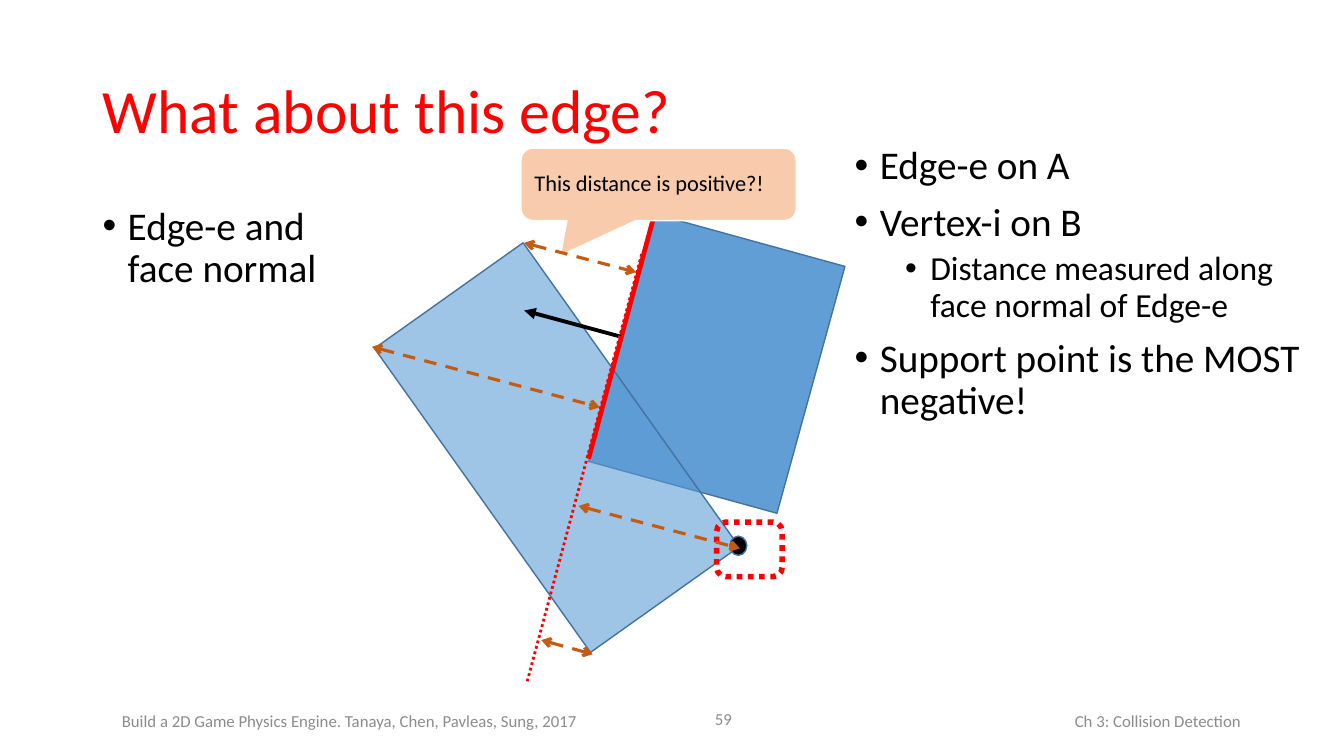
from lxml.etree import SubElement
from pptx import Presentation
from pptx.dml.color import RGBColor
from pptx.enum.dml import MSO_LINE
from pptx.enum.shapes import MSO_CONNECTOR, MSO_SHAPE
from pptx.enum.text import MSO_ANCHOR, PP_ALIGN
from pptx.oxml.ns import qn
from pptx.util import Pt

FONT = "Calibri"
BLACK, RED, GREY = "000000", "FF0000", "8C8C8C"
BLUE, BLUE_EDGE, ORANGE = "5B9BD5", "43739E", "C55A11"


def rgb(color):
    return RGBColor.from_string(color)


def style_paragraph(paragraph, size, color, align=PP_ALIGN.LEFT):
    paragraph.font.name = FONT
    paragraph.font.size = Pt(size)
    paragraph.font.color.rgb = rgb(color)
    paragraph.alignment = align


def add_text_box(slide, box):
    frame = slide.shapes.add_textbox(*map(Pt, box)).text_frame
    frame.word_wrap = True
    return frame


def add_footer(slide, box, text, align=PP_ALIGN.LEFT):
    frame = add_text_box(slide, box)
    frame.vertical_anchor = MSO_ANCHOR.MIDDLE
    frame.text = text
    style_paragraph(frame.paragraphs[0], 12, GREY, align)


def add_bullets(slide, box, items):
    """Each item is a pair of level and text."""
    frame = add_text_box(slide, box)
    for index, (level, text) in enumerate(items):
        paragraph = frame.add_paragraph() if index else frame.paragraphs[0]
        paragraph.text = text
        paragraph.level = level
        paragraph.line_spacing = 0.9
        paragraph.space_before = Pt(5 if level else 10)
        style_paragraph(paragraph, 24 if level else 28, BLACK)
        properties = paragraph._p.get_or_add_pPr()
        properties.set("marL", str(Pt(18 + 36 * level)))
        properties.set("indent", str(Pt(-18)))
        SubElement(properties, qn("a:buFont"), typeface="Arial")
        SubElement(properties, qn("a:buChar"), char="•")


def add_figure(slide, kind, box, fill, line, width=1, opacity=100, rotation=0):
    shape = slide.shapes.add_shape(kind, *map(Pt, box))
    shape.shadow.inherit = False
    shape.rotation = rotation
    shape.line.color.rgb = rgb(line)
    shape.line.width = Pt(width)
    if fill is None:
        shape.fill.background()
        return shape
    shape.fill.solid()
    shape.fill.fore_color.rgb = rgb(fill)
    if opacity < 100:
        color = shape._element.spPr.find(qn("a:solidFill"))[0]
        SubElement(color, qn("a:alpha"), val=str(opacity * 1000))
    return shape


def add_line(slide, start, end, color, width, dash=None, head=None, tail=None):
    line = slide.shapes.add_connector(
        MSO_CONNECTOR.STRAIGHT, *map(Pt, start + end))
    line.line.color.rgb = rgb(color)
    line.line.width = Pt(width)
    if dash:
        line.line.dash_style = dash
    for tag, arrow in (("a:headEnd", head), ("a:tailEnd", tail)):
        if arrow:
            SubElement(line.line._get_or_add_ln(), qn(tag), type=arrow)
    SubElement(line._element.spPr, qn("a:effectLst"))


def add_distance(slide, start, end):
    add_line(slide, start, end, ORANGE, 2.25, MSO_LINE.DASH, "arrow", "arrow")


def add_callout(slide, box, text):
    shape = add_figure(slide, MSO_SHAPE.ROUNDED_RECTANGULAR_CALLOUT, box,
                       "F8CBAD", "FFFFFF")
    for index, value in enumerate((-0.357, 0.981, 0.167)):
        shape.adjustments[index] = value
    frame = shape.text_frame
    frame.word_wrap = True
    frame.vertical_anchor = MSO_ANCHOR.MIDDLE
    frame.text = text
    frame.paragraphs[0].line_spacing = 0.9
    style_paragraph(frame.paragraphs[0], 16, BLACK)


def add_title(slide, box, text):
    title = slide.shapes.title
    title.left, title.top, title.width, title.height = map(Pt, box)
    frame = title.text_frame
    frame.text = text
    frame.vertical_anchor = MSO_ANCHOR.MIDDLE
    frame.paragraphs[0].line_spacing = 0.9
    style_paragraph(frame.paragraphs[0], 44, RED)


def main():
    presentation = Presentation()
    presentation.slide_width, presentation.slide_height = Pt(960), Pt(540)
    slide = presentation.slides.add_slide(presentation.slide_layouts[5])

    # Footer
    add_footer(slide, (547.2, 500.4, 346.3, 28.8),
               "Ch 3: Collision Detection", PP_ALIGN.RIGHT)
    add_footer(slide, (79.9, 500.4, 363.6, 28.8),
               "Build a 2D Game Physics Engine. Tanaya, Chen, Pavleas, Sung, 2017")
    add_footer(slide, (444.2, 499, 85.7, 28.8), "59", PP_ALIGN.RIGHT)

    # Title and left bullet
    add_title(slide, (66.2, 28.8, 828, 104.4), "What about this edge?")
    add_bullets(slide, (66.2, 144, 828, 342.7), [(0, "Edge-e and \vface normal")])

    # Colliding rectangles and the tested edge
    add_figure(slide, MSO_SHAPE.RECTANGLE, (442.1, 168.5, 139.7, 182.9),
               BLUE, BLUE_EDGE, opacity=96, rotation=15.4)
    add_figure(slide, MSO_SHAPE.RECTANGLE, (332.6, 186.5, 130.3, 266.4),
               BLUE, BLUE_EDGE, opacity=59, rotation=324.6)
    add_line(slide, (420.5, 327.6), (467.3, 153.4), RED, 3.25)

    # Right bullets
    add_bullets(slide, (603.4, 100.8, 356.4, 247.7), [
        (0, "Edge-e on A"),
        (0, "Vertex-i on B"),
        (1, "Distance measured along face normal of Edge-e"),
        (0, "Support point is the MOST negative!"),
    ])

    # Face normal, support point and distances
    add_line(slide, (443.5, 240.5), (374.4, 221.8), BLACK, 2.75, tail="triangle")
    add_figure(slide, MSO_SHAPE.OVAL, (521.3, 383, 12.2, 13.7), BLACK, BLUE_EDGE)
    add_distance(slide, (265.7, 247.7), (428.4, 290.9))
    marker = add_figure(slide, MSO_SHAPE.ROUNDED_RECTANGLE,
                        (511.9, 373, 46.8, 38.9), None, RED, 4)
    marker.line.dash_style = MSO_LINE.ROUND_DOT
    add_callout(slide, (372.2, 105.8, 196.6, 51.8), "This distance is positive?!")
    add_distance(slide, (374.4, 173.5), (454.3, 194.4))
    add_line(slide, (376.6, 486.7), (458.6, 180.7), RED, 2, MSO_LINE.ROUND_DOT)
    add_distance(slide, (386.6, 457.2), (423.4, 467.3))
    add_distance(slide, (413.3, 361.4), (528.5, 391.7))

    presentation.save("out.pptx")


if __name__ == "__main__":
    main()
